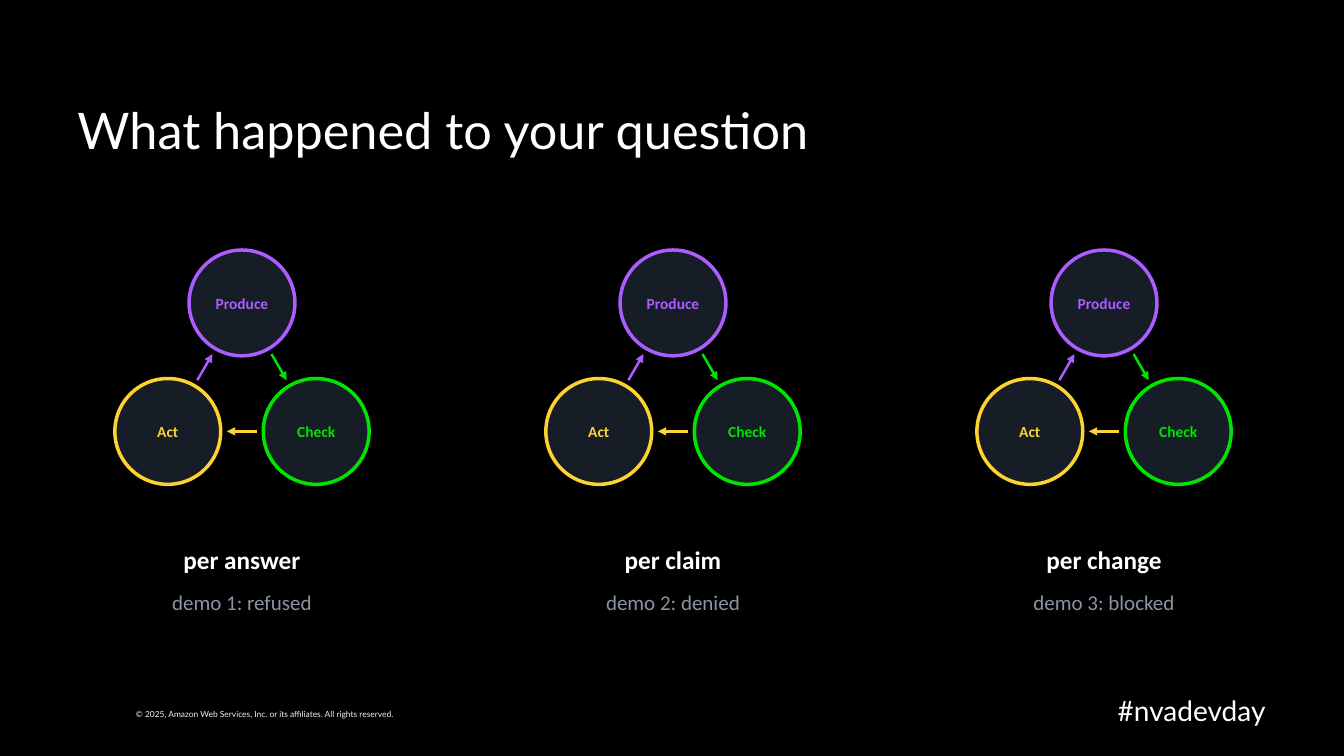
import math

from lxml import etree
from pptx import Presentation
from pptx.dml.color import RGBColor
from pptx.enum.shapes import MSO_CONNECTOR, MSO_SHAPE
from pptx.enum.text import MSO_ANCHOR, MSO_AUTO_SIZE, PP_ALIGN
from pptx.oxml.ns import qn
from pptx.util import Inches, Pt

ELLIPSE = MSO_SHAPE.OVAL
STRAIGHT = MSO_CONNECTOR.STRAIGHT
LEFT, CENTER, RIGHT = PP_ALIGN.LEFT, PP_ALIGN.CENTER, PP_ALIGN.RIGHT
TOP, MIDDLE = MSO_ANCHOR.TOP, MSO_ANCHOR.MIDDLE
FIT_SHAPE = MSO_AUTO_SIZE.SHAPE_TO_FIT_TEXT

COLORS = {
    "background": "000000",
    "white": "FFFFFF",
    "copyright": "F3F3F7",
    "muted": "8A94A6",
    "node": "161D26",
    "purple": "AD5CFF",
    "green": "00E500",
    "yellow": "FBD332",
}
STEPS = [("Produce", "purple"), ("Check", "green"), ("Act", "yellow")]
PANELS = [
    ("per answer", "demo 1: refused"),
    ("per claim", "demo 2: denied"),
    ("per change", "demo 3: blocked"),
]
PANEL_LEFT, PANEL_TOP = 0.7, 2.48
PANEL_WIDTH, PANEL_PITCH = 3.4, 4.275
NODE_SIZE = 1.05
ORBIT = 0.85
ARROW_LENGTH = 0.3


def rgb(name):
    return RGBColor.from_string(COLORS[name])


def write(frame, text, size, color, font, align=LEFT, bold=False):
    para = frame.paragraphs[0]
    para.text = text
    para.alignment = align
    para.font.size = Pt(size)
    para.font.name = font
    para.font.bold = bold
    para.font.color.rgb = rgb(color)
    return para


def add_text(page, box, text, size, color, font, align=LEFT, bold=False,
             anchor=TOP, wrap=True, grow=False, spacing=1.0):
    frame = page.shapes.add_textbox(*map(Inches, box)).text_frame
    frame.word_wrap = wrap
    frame.vertical_anchor = anchor
    if grow:
        frame.auto_size = FIT_SHAPE
    para = write(frame, text, size, color, font, align, bold)
    para.line_spacing = spacing


def add_node(page, center, label, color):
    left, top = (value - NODE_SIZE / 2 for value in center)
    node = page.shapes.add_shape(
        ELLIPSE, *map(Inches, (left, top, NODE_SIZE, NODE_SIZE)))
    node.shadow.inherit = False
    node.fill.solid()
    node.fill.fore_color.rgb = rgb("node")
    node.line.color.rgb = rgb(color)
    node.line.width = Pt(2.5)
    frame = node.text_frame
    frame.word_wrap = True
    frame.vertical_anchor = MIDDLE
    frame.margin_left = frame.margin_right = Inches(0.05)
    frame.margin_top = frame.margin_bottom = Inches(0.05)
    write(frame, label, 11, color, "Calibri", CENTER, True)


def add_arrow(page, source, target, color):
    share = ARROW_LENGTH / math.dist(source, target) / 2
    ends = [
        start + (end - start) * part
        for part in (0.5 - share, 0.5 + share)
        for start, end in zip(source, target)
    ]
    arrow = page.shapes.add_connector(STRAIGHT, *map(Inches, ends))
    arrow.line.color.rgb = rgb(color)
    arrow.line.width = Pt(1.75)
    properties = arrow.element.spPr
    outline = properties.find(qn("a:ln"))
    etree.SubElement(outline, qn("a:tailEnd"), type="triangle")
    etree.SubElement(properties, qn("a:effectLst"))


def add_cycle(page, center_x, top):
    center_y = top + NODE_SIZE / 2 + ORBIT
    angles = [math.radians(-90 + 120 * index) for index in range(len(STEPS))]
    centers = [
        (center_x + ORBIT * math.cos(angle), center_y + ORBIT * math.sin(angle))
        for angle in angles
    ]
    for center, (label, color) in zip(centers, STEPS):
        add_node(page, center, label, color)
    for index, source in enumerate(centers):
        following = (index + 1) % len(STEPS)
        add_arrow(page, source, centers[following], STEPS[following][1])


def add_panel(page, left, top, width, heading, outcome):
    add_cycle(page, left + width / 2, top)
    add_text(page, (left, top + 2.87, width, 0.4), heading, 18, "white",
             "Calibri", CENTER, bold=True, grow=True)
    add_text(page, (left, top + 3.32, width, 0.4), outcome, 15, "muted",
             "Calibri", CENTER, grow=True)


def add_footer(page, left, top, width):
    add_text(page, (left + 0.6, top + 0.12, 2.89, 0.2),
             "© 2025, Amazon Web Services, Inc. or its affiliates. "
             "All rights reserved.",
             6, "copyright", "Lato", wrap=False, grow=True)
    add_text(page, (left, top, width, 0.4), "#nvadevday", 20, "white",
             "Lato", RIGHT, spacing=0.9)


def main():
    deck = Presentation()
    deck.slide_width, deck.slide_height = Inches(13.33), Inches(7.5)
    page = deck.slides.add_slide(deck.slide_layouts[6])
    page.background.fill.solid()
    page.background.fill.fore_color.rgb = rgb("background")
    add_footer(page, 0.65, 6.87, 12)
    add_text(page, (0.67, 1, 12, 0.65), "What happened to your question", 36,
             "white", "Lato", anchor=MIDDLE, spacing=0.9)
    for index, (heading, outcome) in enumerate(PANELS):
        add_panel(page, PANEL_LEFT + index * PANEL_PITCH, PANEL_TOP,
                  PANEL_WIDTH, heading, outcome)
    deck.save("out.pptx")


if __name__ == "__main__":
    main()
